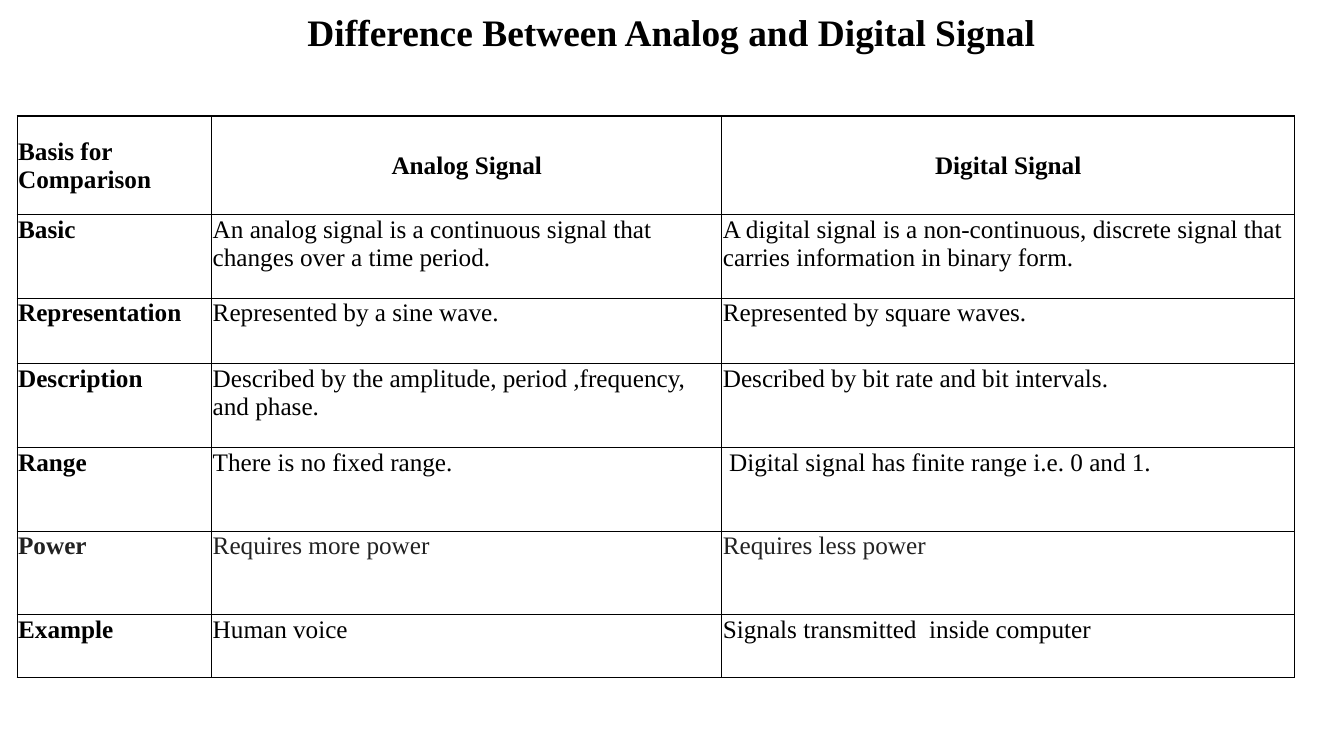
from lxml.etree import SubElement
from pptx import Presentation
from pptx.dml.color import RGBColor
from pptx.enum.text import MSO_ANCHOR, PP_ALIGN
from pptx.oxml.ns import qn
from pptx.util import Inches, Pt

BLACK = "000000"
CHARCOAL = "222222"
WHITE = "FFFFFF"

TITLE = "Difference Between Analog and Digital Signal"
COLUMN_WIDTHS = [1.93, 5.06, 5.68]
ROW_HEIGHTS = [0.98, 0.83, 0.65, 0.83, 0.83, 0.83, 0.62]
COMPARISON = [
    ("Basis for Comparison", "Analog Signal", "Digital Signal"),
    ("Basic",
     "An analog signal is a continuous signal that changes over a time period.",
     "A digital signal is a non-continuous, discrete signal that carries information in binary form."),
    ("Representation", "Represented by a sine wave.", "Represented by square waves."),
    ("Description",
     "Described by the amplitude, period ,frequency, and phase.",
     "Described by bit rate and bit intervals."),
    ("Range", "There is no fixed range.", " Digital signal has finite range i.e. 0 and 1."),
    ("Power", "Requires more power", "Requires less power"),
    ("Example", "Human voice", "Signals transmitted  inside computer"),
]


def color(value):
    return RGBColor.from_string(value)


def write_text(text_frame, text, font_name, size=18, bold=False,
               text_color=BLACK, alignment=PP_ALIGN.LEFT):
    paragraph = text_frame.paragraphs[0]
    paragraph.alignment = alignment
    run = paragraph.add_run()
    run.text = text
    run.font.name = font_name
    run.font.size = Pt(size)
    run.font.bold = bold
    run.font.color.rgb = color(text_color)


class SlideBuilder:
    font_name = "Times New Roman"
    border_color = BLACK
    border_width = 1

    def __init__(self, slide):
        self.slide = slide

    def add_title(self, text, left, top, width, height):
        shape = self.slide.shapes.add_textbox(
            Inches(left), Inches(top), Inches(width), Inches(height))
        text_frame = shape.text_frame
        text_frame.word_wrap = True
        text_frame.vertical_anchor = MSO_ANCHOR.MIDDLE
        write_text(text_frame, text, self.font_name, size=26.7, bold=True,
                   alignment=PP_ALIGN.CENTER)

    def add_comparison_table(self, rows, left, top, widths, heights):
        shape = self.slide.shapes.add_table(
            len(rows), len(widths), Inches(left), Inches(top),
            Inches(sum(widths)), Inches(sum(heights)))
        table = shape.table
        for column, width in zip(table.columns, widths):
            column.width = Inches(width)
        for row, height in zip(table.rows, heights):
            row.height = Inches(height)
        for row_index, row in enumerate(rows):
            for column_index, text in enumerate(row):
                is_header = row_index == 0
                is_label = column_index == 0
                cell = table.cell(row_index, column_index)
                self.style_cell(cell, is_header)
                write_text(
                    cell.text_frame, text, self.font_name,
                    bold=is_header or is_label,
                    text_color=CHARCOAL if row[0] == "Power" else BLACK,
                    alignment=PP_ALIGN.CENTER if is_header and not is_label else PP_ALIGN.LEFT)

    def style_cell(self, cell, is_header):
        cell.margin_left = cell.margin_right = cell.margin_top = Inches(0.01)
        cell.margin_bottom = 0
        cell.vertical_anchor = MSO_ANCHOR.MIDDLE if is_header else MSO_ANCHOR.TOP
        properties = cell._tc.get_or_add_tcPr()
        for side in ("a:lnL", "a:lnR", "a:lnT", "a:lnB"):
            line = SubElement(properties, qn(side), w=str(Pt(self.border_width)))
            fill = SubElement(line, qn("a:solidFill"))
            SubElement(fill, qn("a:srgbClr"), val=self.border_color)
        cell.fill.solid()
        cell.fill.fore_color.rgb = color(WHITE)


def main():
    presentation = Presentation()
    presentation.slide_width = Inches(13.33)
    presentation.slide_height = Inches(7.5)
    slide = presentation.slides.add_slide(presentation.slide_layouts[6])
    builder = SlideBuilder(slide)
    builder.add_comparison_table(COMPARISON, 0.17, 1.15, COLUMN_WIDTHS, ROW_HEIGHTS)
    builder.add_title(TITLE, 0.93, 0, 11.47, 0.62)
    presentation.save("out.pptx")


if __name__ == "__main__":
    main()
